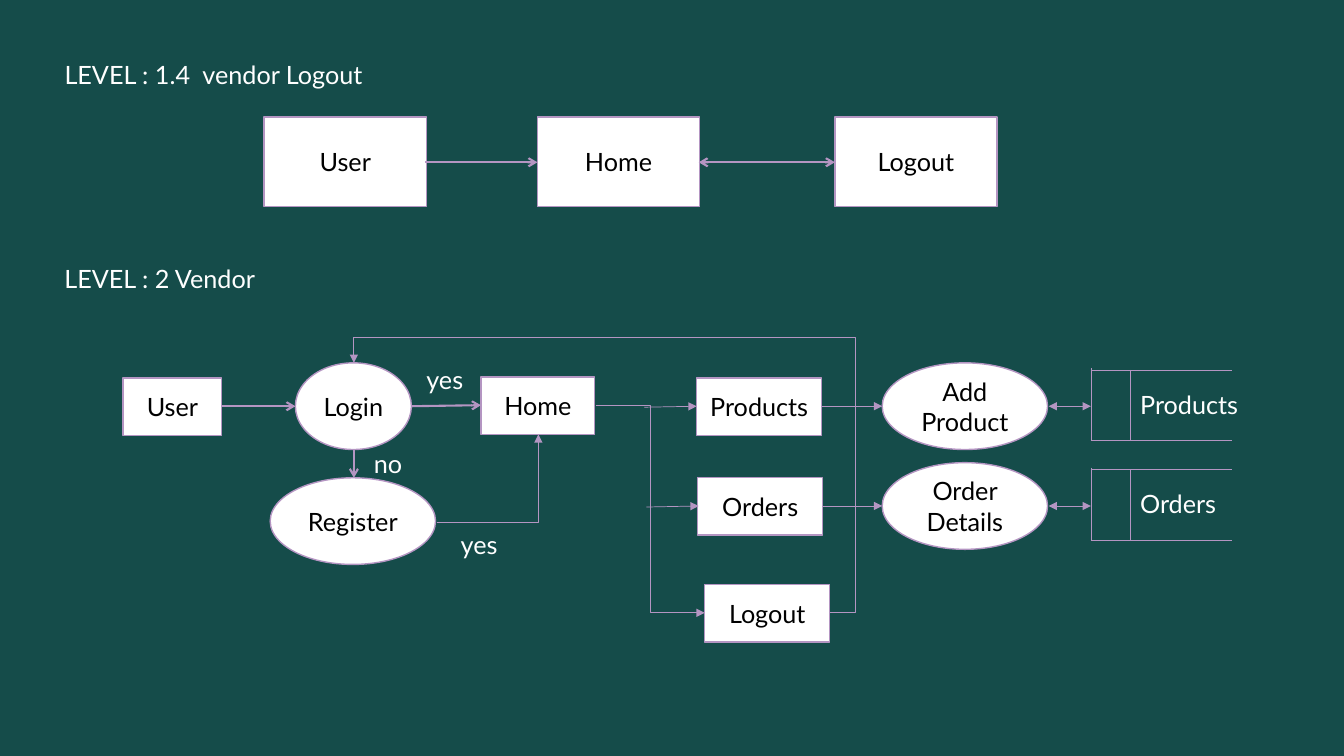
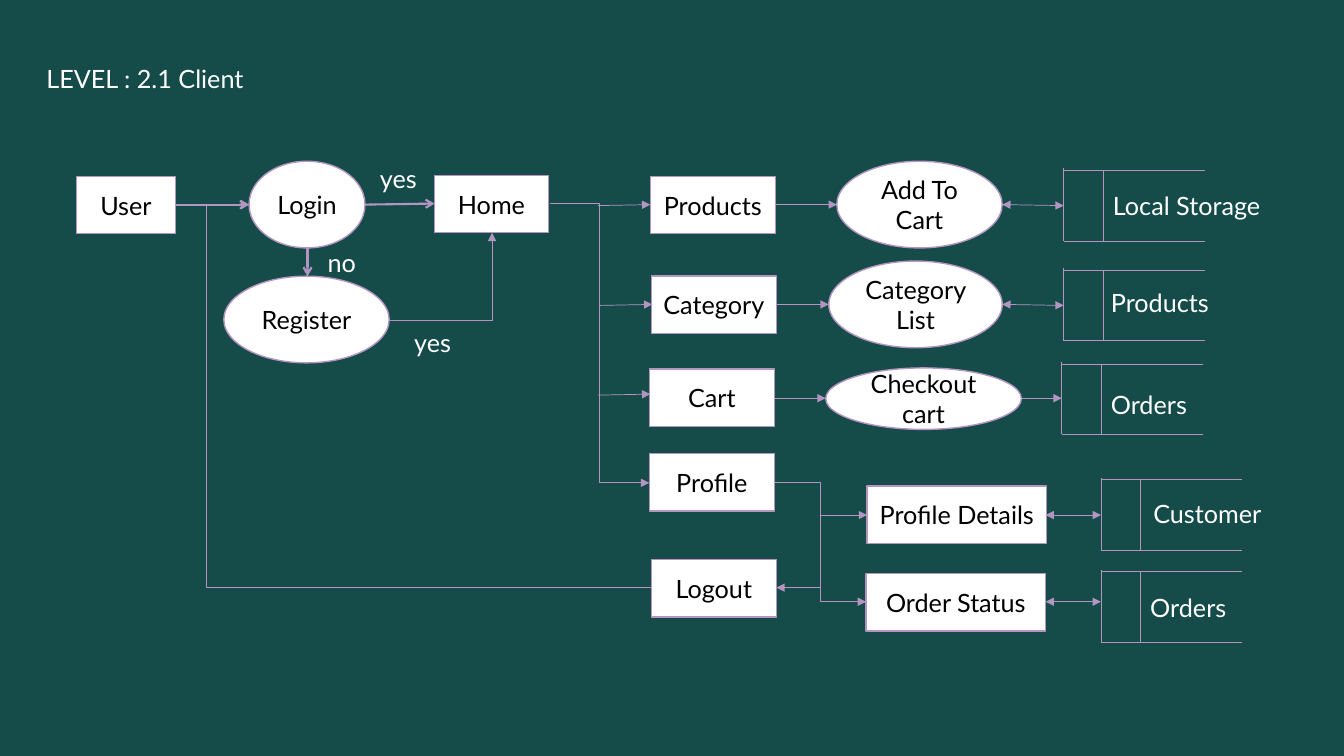
import lxml.etree
import pptx
import pptx.dml.color
import pptx.enum.shapes
import pptx.enum.text
import pptx.oxml.ns
import pptx.util

Inches = pptx.util.Inches
RGB = pptx.dml.color.RGBColor.from_string
qn = pptx.oxml.ns.qn
Align = pptx.enum.text.PP_ALIGN
Anchor = pptx.enum.text.MSO_ANCHOR
Shape = pptx.enum.shapes.MSO_SHAPE
Connector = pptx.enum.shapes.MSO_CONNECTOR


class Theme:
    ground = RGB("154C4A")
    light = RGB("FFFFFF")
    dark = RGB("000000")
    edge = RGB("B495C2")
    font = "Lato"
    size = pptx.util.Pt(18)
    outline = pptx.util.Pt(1)
    thin = pptx.util.Pt(0.5)
    thick = pptx.util.Pt(1.5)


def write(box, text, color=Theme.light, align=Align.LEFT, anchor=Anchor.TOP):
    frame = box.text_frame
    frame.word_wrap = True
    frame.auto_size = pptx.enum.text.MSO_AUTO_SIZE.NONE
    frame.vertical_anchor = anchor
    para = frame.paragraphs[0]
    para.alignment = align
    span = para.add_run()
    span.text = text
    span.font.name = Theme.font
    span.font.size = Theme.size
    span.font.color.rgb = color


def connect(page, ends, weight=Theme.thin, head=None, tail=None, bend=None, adjust=()):
    kind = Connector.ELBOW if bend else Connector.STRAIGHT
    link = page.shapes.add_connector(kind, *map(Inches, ends))
    link.line.color.rgb = Theme.edge
    link.line.width = weight
    properties = link._element.spPr
    stroke = properties.find(qn("a:ln"))
    for tag, arrow in (("a:headEnd", head), ("a:tailEnd", tail)):
        if arrow:
            lxml.etree.SubElement(stroke, qn(tag), type=arrow)
    lxml.etree.SubElement(properties, qn("a:effectLst"))
    if bend:
        geometry = properties.find(qn("a:prstGeom"))
        geometry.set("prst", bend)
        guides = geometry.find(qn("a:avLst"))
        for number, value in enumerate(adjust, 1):
            lxml.etree.SubElement(guides, qn("a:gd"), name=f"adj{number}",
                                  fmla=f"val {round(value * 100000)}")


# Sign-in flow shared by both slides, measured from the corner of its User box
sign_in_nodes = [
    (Shape.RECTANGLE, "User", 0, 0, 0.98, 0.57),
    (Shape.OVAL, "Login", 1.71, -0.15, 1.15, 0.86),
    (Shape.OVAL, "Register", 1.46, 0.99, 1.64, 0.86),
    (Shape.RECTANGLE, "Home", 3.55, -0.01, 1.13, 0.57),
]
sign_in_labels = [("yes", 2.91, -0.18, 0.65), ("no", 2.39, 0.65, 0.58),
                  ("yes", 3.25, 1.45, 0.65)]
sign_in_arrows = [(0.98, 0.28, 1.71, 0.28), (2.29, 0.71, 2.29, 0.99),
                  (2.86, 0.28, 3.55, 0.27)]
register_to_home = (3.11, 1.43, 4.12, 0.56)

# Contents of each slide
vendor = dict(
    title=("LEVEL : 1.4  vendor Logout", 0.54, 0.54, 3.29),
    sign_in=(1.22, 3.75),
    nodes=[
        (Shape.RECTANGLE, "User", 2.62, 1.16, 1.61, 0.89),
        (Shape.RECTANGLE, "Home", 5.33, 1.16, 1.61, 0.89),
        (Shape.RECTANGLE, "Logout", 8.28, 1.16, 1.61, 0.89),
        (Shape.RECTANGLE, "Products", 6.91, 3.75, 1.24, 0.57),
        (Shape.RECTANGLE, "Orders", 6.92, 4.74, 1.24, 0.57),
        (Shape.RECTANGLE, "Logout", 6.99, 5.8, 1.24, 0.57),
        (Shape.OVAL, "Add Product", 8.75, 3.6, 1.64, 0.86),
        (Shape.OVAL, "Order Details", 8.75, 4.59, 1.64, 0.86),
    ],
    labels=[("LEVEL : 2 Vendor", 0.54, 2.56, 2.27),
            ("Products", 11.21, 3.81, 1.2), ("Orders", 11.21, 4.8, 0.97)],
    stores=[(10.82, 3.67), (10.82, 4.66)],
    arrows=[(6.39, 4.04, 6.91, 4.03), (6.41, 5.03, 6.93, 5.02),
            (8.15, 4.03, 8.75, 4.03), (8.16, 5.02, 8.75, 5.02)],
    two_way=[(10.4, 4.03, 10.82, 4.03), (10.4, 5.02, 10.82, 5.02)],
    elbows=[((5.91, 4.02, 6.99, 6.08), "bentConnector3", (0.5,)),
            ((8.23, 6.08, 3.51, 3.6), "bentConnector4", (-0.053, 1.101))],
)
client = dict(
    title=("LEVEL : 2.1 Client", 0.36, 0.58, 2.32),
    sign_in=(0.76, 1.75),
    nodes=[
        (Shape.RECTANGLE, "Products", 6.45, 1.75, 1.24, 0.57),
        (Shape.RECTANGLE, "Category", 6.46, 2.74, 1.24, 0.57),
        (Shape.RECTANGLE, "Cart", 6.44, 3.66, 1.24, 0.57),
        (Shape.RECTANGLE, "Profile", 6.44, 4.5, 1.24, 0.57),
        (Shape.RECTANGLE, "Logout", 6.46, 5.55, 1.24, 0.57),
        (Shape.OVAL, "Add To Cart", 8.3, 1.6, 1.64, 0.86),
        (Shape.OVAL, "Category List", 8.22, 2.59, 1.72, 0.86),
        (Shape.OVAL, "Checkout cart", 8.19, 3.65, 1.94, 0.61),
        (Shape.RECTANGLE, "Profile Details", 8.6, 4.82, 1.78, 0.57),
        (Shape.RECTANGLE, "Order Status", 8.59, 5.69, 1.78, 0.57),
    ],
    labels=[("Local Storage", 10.94, 1.84, 1.76), ("Products", 10.92, 2.8, 1.2),
            ("Orders", 10.92, 3.81, 0.97), ("Customer", 11.34, 4.89, 1.36),
            ("Orders", 11.31, 5.83, 1.18)],
    stores=[(10.55, 1.69), (10.55, 2.68), (10.53, 3.61), (10.92, 4.76), (10.92, 5.67)],
    arrows=[(5.93, 2.04, 6.45, 2.03), (5.95, 3.03, 6.47, 3.02),
            (5.93, 3.92, 6.45, 3.91), (7.69, 2.03, 8.3, 2.03),
            (7.7, 3.02, 8.22, 3.02), (7.68, 3.95, 8.19, 3.95),
            (10.13, 3.95, 10.53, 3.95), (8.14, 5.11, 8.6, 5.11),
            (8.14, 5.83, 7.7, 5.83)],
    two_way=[(9.94, 2.03, 10.55, 2.04), (9.94, 3.02, 10.55, 3.03),
             (10.37, 5.11, 10.92, 5.11), (10.37, 5.97, 10.92, 5.97)],
    elbows=[((5.45, 2.02, 6.44, 4.79), "bentConnector3", (0.5,)),
            ((7.68, 4.79, 8.59, 5.97), "bentConnector3", (0.5,)),
            ((6.46, 5.83, 2.47, 2.03), "bentConnector3", (1.106,))],
)

# Deck and shared background
deck = pptx.Presentation()
deck.slide_width, deck.slide_height = Inches(13.33), Inches(7.5)
ground = deck.slide_master.background.fill
ground.solid()
ground.fore_color.rgb = Theme.ground
title_only = deck.slide_layouts[5]
label_height = 0.4

for content in (vendor, client):
    page = deck.slides.add_slide(title_only)
    left, top = content["sign_in"]

    # Title
    text, x, y, width = content["title"]
    title = page.shapes.title
    title.left, title.top = Inches(x), Inches(y)
    title.width, title.height = Inches(width), Inches(label_height)
    write(title, text)

    # Boxes and ellipses
    nodes = [(kind, text, left + x, top + y, width, height)
             for kind, text, x, y, width, height in sign_in_nodes]
    for kind, text, *place in nodes + content["nodes"]:
        node = page.shapes.add_shape(kind, *map(Inches, place))
        node.shadow.inherit = False
        node.fill.solid()
        node.fill.fore_color.rgb = Theme.light
        node.line.color.rgb = Theme.edge
        node.line.width = Theme.outline
        write(node, text, color=Theme.dark, align=Align.CENTER, anchor=Anchor.MIDDLE)

    # Labels
    labels = [(text, left + x, top + y, width) for text, x, y, width in sign_in_labels]
    for text, *place in labels + content["labels"]:
        write(page.shapes.add_textbox(*map(Inches, (*place, label_height))), text)

    # Data stores: open-ended boxes with a divider
    for x, y in content["stores"]:
        bottom, right, divider = y + 0.7, x + 1.4, x + 0.39
        for ends in ((x, y - 0.02, x, bottom), (x, y, right, y),
                     (x, bottom, right, bottom), (divider, y, divider, bottom)):
            connect(page, ends)

    # Sign-in arrows
    for x1, y1, x2, y2 in sign_in_arrows:
        connect(page, (left + x1, top + y1, left + x2, top + y2),
                weight=Theme.thick, tail="arrow")
    x1, y1, x2, y2 = register_to_home
    connect(page, (left + x1, top + y1, left + x2, top + y2),
            tail="triangle", bend="bentConnector2")

    # Flow arrows
    for ends in content["arrows"]:
        connect(page, ends, tail="triangle")
    for ends in content["two_way"]:
        connect(page, ends, head="triangle", tail="triangle")
    for ends, bend, adjust in content["elbows"]:
        connect(page, ends, tail="triangle", bend=bend, adjust=adjust)

    # Logout row above the vendor flow
    if content is vendor:
        connect(page, (4.22, 1.61, 5.33, 1.61), weight=Theme.thick, tail="arrow")
        connect(page, (6.93, 1.61, 8.28, 1.61), weight=Theme.thick,
                head="arrow", tail="arrow")

deck.save("out.pptx")
